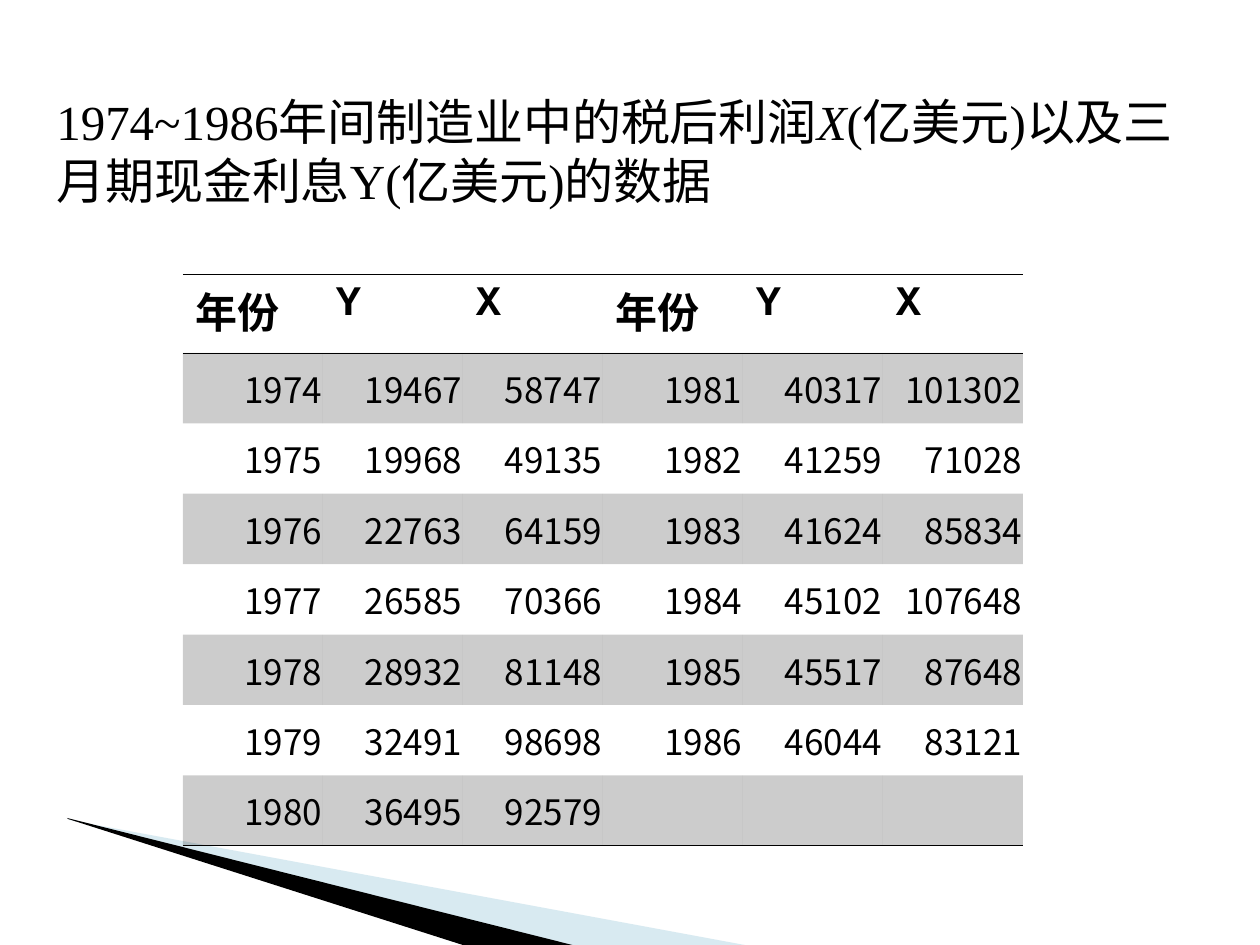
from lxml.etree import SubElement
from pptx import Presentation
from pptx.dml.color import RGBColor
from pptx.enum.text import MSO_ANCHOR as Anchor, MSO_AUTO_SIZE as AutoSize, PP_ALIGN as Align
from pptx.oxml.ns import qn
from pptx.util import Emu, Pt

PX_PER_INCH = 126
CJK_FONT = "Noto Sans CJK SC"
NO_TABLE_STYLE = "{2D5ABB26-0587-4C30-8999-92F81FD0307C}"
BLACK = "000000"

TITLE = {"size": Pt(28), "name": "Times New Roman"}
HEADER = {"size": Pt(24), "name": "Courier New", "bold": True}
NUMBER = {"size": Pt(20), "name": CJK_FONT, "bold": False}
HEADER_CELL = {"margin_left": 13, "margin_right": 13, "margin_top": 6, "margin_bottom": 6}
NUMBER_CELL = {"margin_left": 1, "margin_right": 1, "margin_top": 6, "margin_bottom": 6}

HEADINGS = ["年份", "Y", "X"] * 2
ROWS = [
    [1974, 19467, 58747, 1981, 40317, 101302],
    [1975, 19968, 49135, 1982, 41259, 71028],
    [1976, 22763, 64159, 1983, 41624, 85834],
    [1977, 26585, 70366, 1984, 45102, 107648],
    [1978, 28932, 81148, 1985, 45517, 87648],
    [1979, 32491, 98698, 1986, 46044, 83121],
    [1980, 36495, 92579, "", "", ""],
]


def px(length):
    return Emu(round(length * 914400 / PX_PER_INCH))


def apply(target, values):
    for name, value in values.items():
        setattr(target, name, value)


def colour(hex_string):
    return RGBColor.from_string(hex_string)


def paint(fill, parent, hex_string, opacity=100):
    fill.solid()
    fill.fore_color.rgb = colour(hex_string)
    if opacity < 100:
        solid = parent.find(qn("a:solidFill"))
        SubElement(solid[0], qn("a:alpha"), val=str(opacity * 1000))


def add_span(para, text, style, italic=False):
    span = para.add_run()
    span.text = text
    apply(span.font, {**style, "italic": italic})
    span.font.color.rgb = colour(BLACK)
    SubElement(span.font._element, qn("a:ea"), typeface=CJK_FONT)


def add_wedge(page, left, top, width, height, points, hex_string, opacity=100):
    corners = [(px(x), px(y)) for x, y in points]
    builder = page.shapes.build_freeform(*corners[0], scale=1.0)
    builder.add_line_segments(corners[1:])
    wedge = builder.convert_to_shape(px(left), px(top))
    outline = next(wedge._element.iter(qn("a:path")))
    outline.set("w", str(px(width)))
    outline.set("h", str(px(height)))
    for point, (x, y) in zip(outline.iter(qn("a:pt")), corners + corners[:1]):
        point.set("x", str(x))
        point.set("y", str(y))
    apply(wedge, {"left": px(left), "top": px(top), "width": px(width), "height": px(height)})
    wedge.shadow.inherit = False
    wedge.line.fill.background()
    paint(wedge.fill, wedge._element.spPr, hex_string, opacity)


def add_corner(page, left, top):
    blue_points = [(-29, 131), (652, 257), (477, 257), (-29, 130)]
    black_points = [(75, 20), (584, 148), (477, 149), (76, 21)]
    add_wedge(page, left + 106, top, 524, 199, blue_points, "9FCBDC", 40)
    add_wedge(page, left, top + 109, 524, 116, black_points, BLACK)


def add_title(page, left, top, width, height):
    box = page.shapes.add_textbox(px(left), px(top), px(width), px(height))
    apply(box.text_frame, {"word_wrap": True, "auto_size": AutoSize.SHAPE_TO_FIT_TEXT})
    para = box.text_frame.paragraphs[0]
    add_span(para, "1974~1986年间制造业中的税后利润", TITLE)
    add_span(para, "X", TITLE, italic=True)
    add_span(para, "(亿美元)以及三月期现金利息Y(亿美元)的数据", TITLE)


def add_borders(cell, drawn_sides):
    properties = cell._tc.get_or_add_tcPr()
    for index, side in enumerate("LRTB"):
        line = SubElement(properties, qn(f"a:ln{side}"), w=str(Pt(0.45)))
        if side in drawn_sides:
            fill = SubElement(line, qn("a:solidFill"))
            SubElement(fill, qn("a:srgbClr"), val=BLACK)
        else:
            SubElement(line, qn("a:noFill"))
        properties.insert(index, line)


def fill_cell(cell, text, is_header, banded, drawn_sides):
    margins = HEADER_CELL if is_header else NUMBER_CELL
    apply(cell, {name: px(value) for name, value in margins.items()})
    cell.vertical_anchor = Anchor.TOP if is_header else Anchor.MIDDLE
    para = cell.text_frame.paragraphs[0]
    para.alignment = Align.LEFT if is_header else Align.RIGHT
    if text:
        add_span(para, text, HEADER if is_header else NUMBER)
    if banded:
        paint(cell.fill, cell._tc.tcPr, BLACK, 20)
    else:
        cell.fill.background()
    add_borders(cell, drawn_sides)


def add_data_table(page, left, top, width, height, header_height):
    values = [HEADINGS, *ROWS]
    last = len(ROWS)
    frame = page.shapes.add_table(len(values), len(HEADINGS), px(left), px(top), px(width), px(height))
    table = frame.table
    apply(table, {"first_row": False, "horz_banding": False})
    table._tbl.tblPr.find(qn("a:tableStyleId")).text = NO_TABLE_STYLE
    for column in table.columns:
        column.width = px(width / len(HEADINGS))
    for index, row in enumerate(table.rows):
        row.height = px((height - header_height) / last if index else header_height)
        drawn_sides = {0: "TB", 1: "T", last: "B"}.get(index, "")
        for cell, value in zip(row.cells, values[index]):
            fill_cell(cell, str(value), index == 0, index % 2 == 1, drawn_sides)


def main():
    deck = Presentation()
    apply(deck, {"slide_width": px(1260), "slide_height": px(945)})
    page = deck.slides.add_slide(deck.slide_layouts[6])
    add_corner(page, -8, 689)
    add_title(page, 44, 85, 1171, 131)
    add_data_table(page, 183, 274, 840, 572, 79)
    deck.save("out.pptx")


if __name__ == "__main__":
    main()
